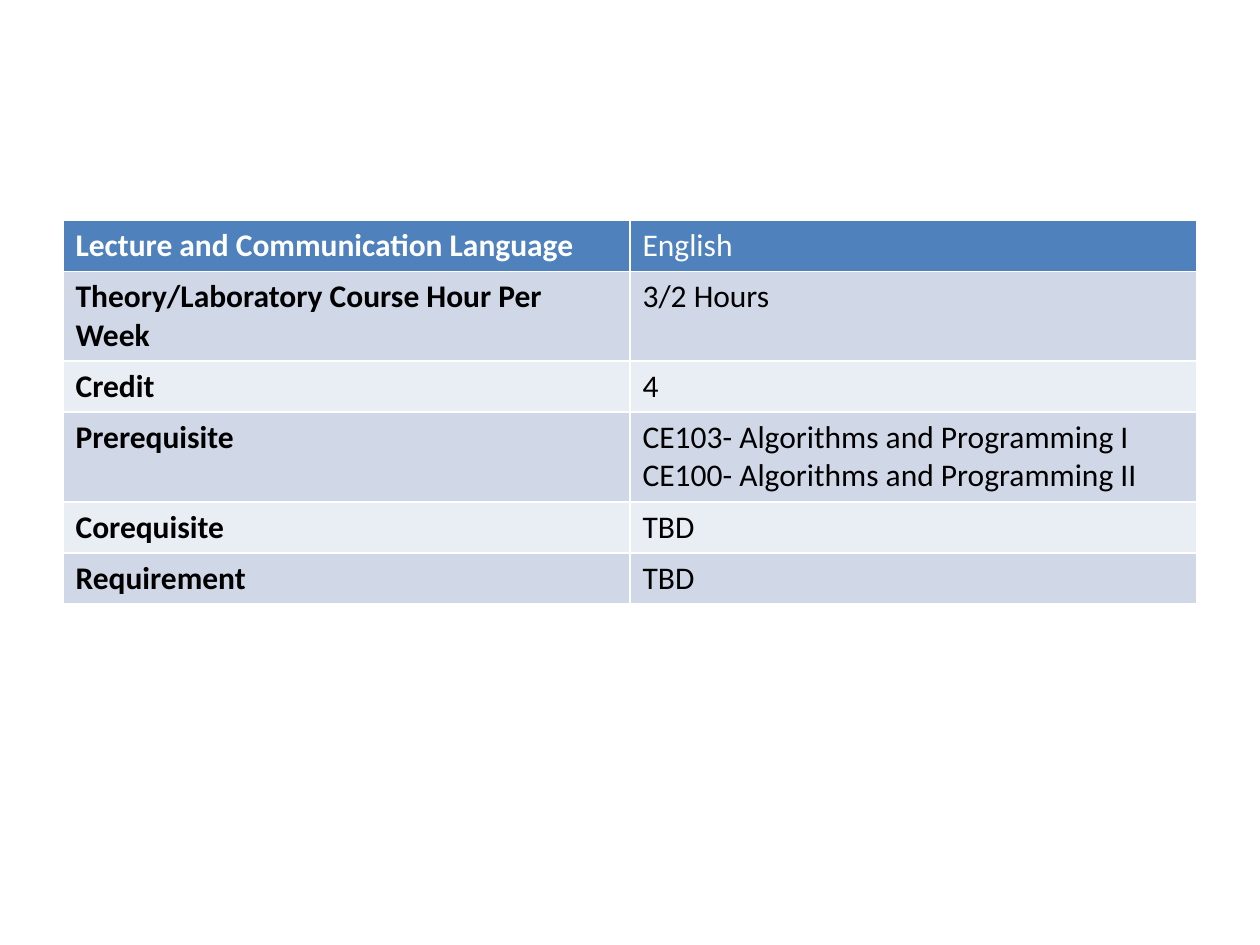
from pptx import Presentation, util as u
from pptx.dml.color import RGBColor

ROWS = [
    ("Lecture and Communication Language", "English"),
    ("Theory/Laboratory Course Hour Per Week", "3/2 Hours"),
    ("Credit", "4"),
    ("Prerequisite", "CE103- Algorithms and Programming I "
                     "CE100- Algorithms and Programming II"),
    ("Corequisite", "TBD"),
    ("Requirement", "TBD"),
]
TALL = (1, 3)  # rows whose text takes two lines


def tint(code):
    return RGBColor.from_string(code)


class Page:
    font, size = "Calibri", 18
    head, bands = "4F81BD", ("E9EDF4", "D0D8E8")
    light, dark = "FFFFFF", "000000"

    def __init__(self, slide):
        self.slide = slide

    def cell(self, cell, words, fill, ink, bold):
        cell.fill.solid()
        cell.fill.fore_color.rgb = tint(fill)
        cell.text = words
        font = cell.text_frame.paragraphs[0].font
        font.name, font.size, font.bold = self.font, u.Pt(self.size), bold
        font.color.rgb = tint(ink)

    def table(self, rows, left, top, width):
        # The default table style supplies the white grid lines
        high = [0.71 if i in TALL else 0.4 for i in range(len(rows))]
        grid = self.slide.shapes.add_table(
            len(rows), len(rows[0]), u.Inches(left), u.Inches(top),
            u.Inches(width), u.Inches(sum(high))).table
        for i, row in enumerate(rows):
            grid.rows[i].height = u.Inches(high[i])
            fill = self.bands[i % 2] if i else self.head
            ink = self.dark if i else self.light
            for j, words in enumerate(row):
                self.cell(grid.cell(i, j), words, fill, ink, j == 0)


def main():
    deck = Presentation()
    deck.slide_width, deck.slide_height = u.Inches(10), u.Inches(7.5)
    page = Page(deck.slides.add_slide(deck.slide_layouts[6]))

    # Course facts
    page.table(ROWS, 0.5, 1.75, 9)
    deck.save("out.pptx")


if __name__ == "__main__":
    main()
